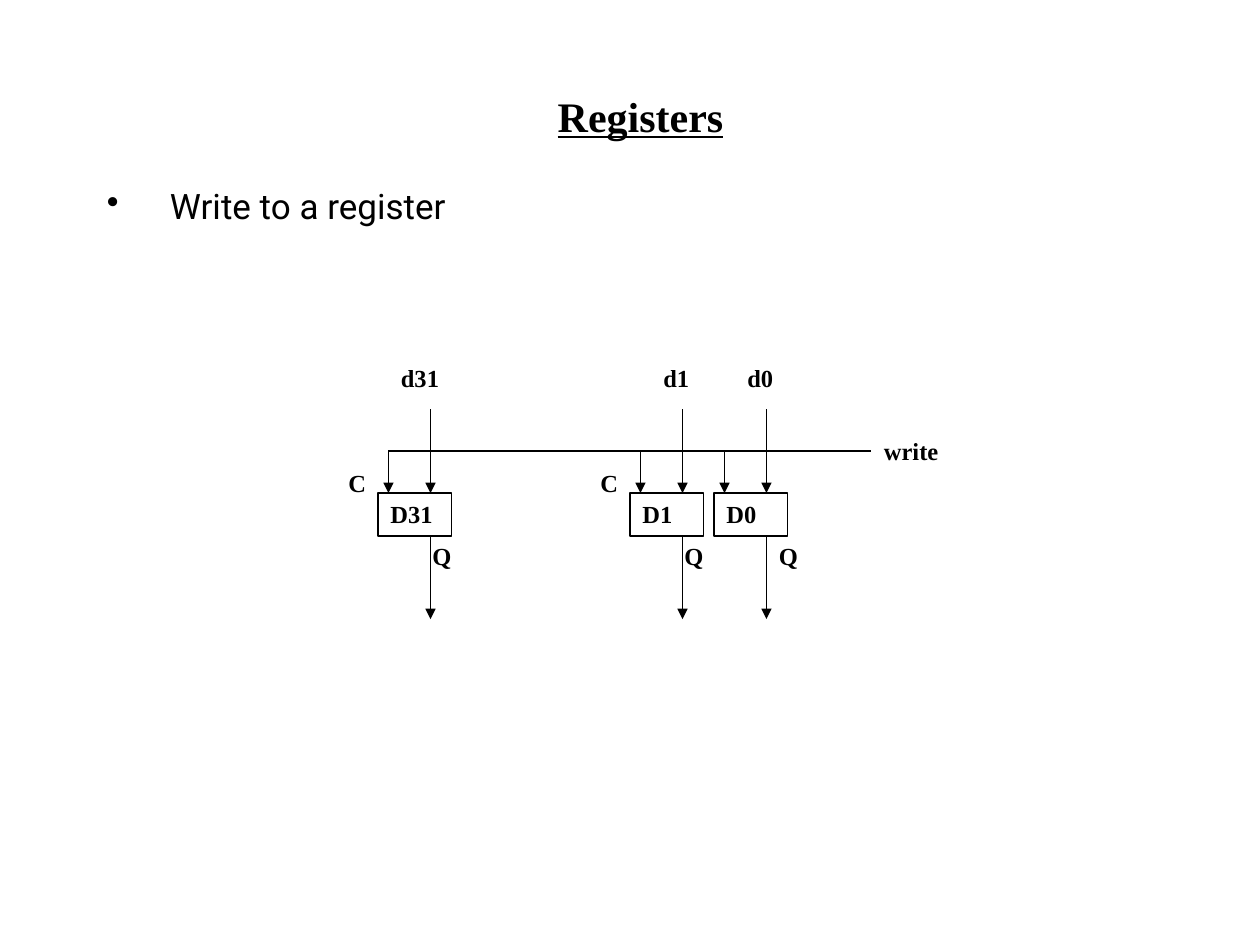
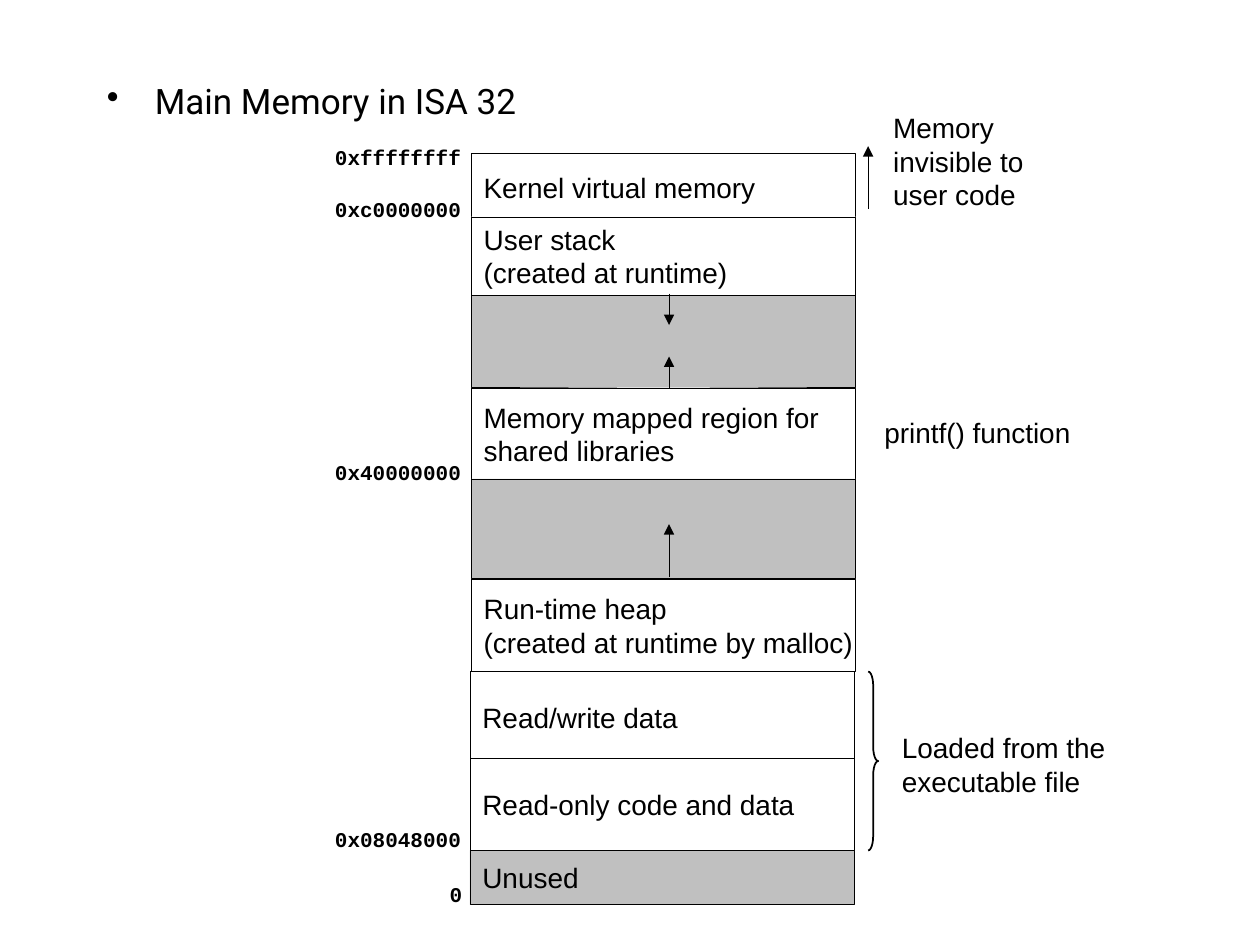
from dataclasses import dataclass

from lxml.etree import SubElement
from pptx import Presentation
from pptx.dml.color import RGBColor as RGB
from pptx.enum.shapes import MSO_CONNECTOR as Conn, MSO_SHAPE as Form
from pptx.enum.text import MSO_ANCHOR as Anchor, PP_ALIGN as Align
from pptx.oxml.ns import qn
from pptx.util import Inches, Pt


@dataclass(frozen=True)
class Theme:
    ink: RGB = RGB(0, 0, 0)
    paper: RGB = RGB(255, 255, 255)
    gray: RGB = RGB(0xC0, 0xC0, 0xC0)
    serif: str = "Times New Roman"
    sans: str = "Arial"
    mono: str = "Courier New"
    lead: str = "Roboto"
    title: int = 24
    head: int = 20
    body: int = 16
    label: int = 14
    code: int = 12
    thin: float = 0.25
    wire: float = 0.75
    bold: float = 1


T = Theme()


@dataclass(frozen=True)
class Grid:
    """A region of a slide, measured in square cells from its corner."""
    slide: object
    left: float
    top: float
    cell: float

    def spot(self, col, row):
        return Inches(self.left + col * self.cell), Inches(self.top + row * self.cell)

    def area(self, col, row, cols, rows):
        return *self.spot(col, row), Inches(cols * self.cell), Inches(rows * self.cell)


# Shared parts
def write(shape, text, font=T.sans, size=T.body, bold=False, under=False,
          align=Align.LEFT, anchor=Anchor.TOP, wrap=True, indent=None):
    frame = shape.text_frame
    frame.word_wrap = wrap
    frame.vertical_anchor = anchor
    for i, line in enumerate(text.split("\n")):
        para = frame.add_paragraph() if i else frame.paragraphs[0]
        para.alignment = align
        if indent:
            props = para._p.get_or_add_pPr()
            props.set("marL", str(Inches(indent)))
            props.set("indent", str(-Inches(indent)))
            SubElement(props, qn("a:buChar")).set("char", "•")
        run = para.add_run()
        run.text = line
        run.font.name, run.font.size = font, Pt(size)
        run.font.bold, run.font.underline = bold, under
        run.font.color.rgb = T.ink


def note(grid, area, text, **style):
    write(grid.slide.shapes.add_textbox(*grid.area(*area)), text, **style)


def block(grid, area, form=Form.RECTANGLE, fill=None, width=T.wire):
    shape = grid.slide.shapes.add_shape(form, *grid.area(*area))
    shape.shadow.inherit = False
    if fill is None:
        shape.fill.background()
    else:
        shape.fill.solid()
        shape.fill.fore_color.rgb = fill
    shape.line.color.rgb = T.ink
    shape.line.width = Pt(width)
    return shape


def wire(grid, start, end, width=T.wire, arrow=True):
    line = grid.slide.shapes.add_connector(
        Conn.STRAIGHT, *grid.spot(*start), *grid.spot(*end))
    line.line.color.rgb = T.ink
    line.line.width = Pt(width)
    if arrow:
        SubElement(line.line._get_or_add_ln(), qn("a:tailEnd")).set("type", "triangle")
    SubElement(line._element.spPr, qn("a:effectLst"))


def bullet(grid, area, text, indent):
    note(grid, area, text, font=T.lead, size=T.head, indent=indent)


# Register circuit: one flip-flop per bit, fed by a common write line
def flop(grid, col, bit, data, out, clock):
    style = dict(font=T.serif, size=T.label, bold=True)
    write(block(grid, (col, 13, 7, 4.1)), f"D{bit}", **style)
    note(grid, (col + data, 0, 7, 4), f"d{bit}", **style)
    note(grid, (col + out, 17, 7, 4), "Q", **style)
    if clock:
        note(grid, (col - 4, 10, 7, 4), "C", **style)
    wire(grid, (col + 5, 5), (col + 5, 13))
    wire(grid, (col + 1, 9), (col + 1, 13))
    wire(grid, (col + 5, 17), (col + 5, 25))


def circuit(grid):
    for col, bit, data, out, clock in [
            (0, 31, 1, 4, True), (24, 1, 2, 4, True), (32, 0, 2, 5, False)]:
        flop(grid, col, bit, data, out, clock)
    wire(grid, (1, 9), (47, 9), arrow=False)
    note(grid, (47, 7, 8, 4), "write", font=T.serif, size=T.label, bold=True)


# Memory map: stacked regions with addresses on the left, remarks on the right
def tower(grid):
    for col, row, rows, fill, text in [
            (0, 0, 5.3, T.paper, "Kernel virtual memory"),
            (0, 8.6, 9.9, T.gray, ""),
            (0, 5, 6.2, T.paper, "User stack\n(created at runtime)"),
            (0, 18.6, 7.3, T.paper, "Memory mapped region for\nshared libraries"),
            (0, 25.8, 7.9, T.gray, ""),
            (0, 33.8, 7.3, T.paper, "Run-time heap\n(created at runtime by malloc)"),
            (-0.1, 41.1, 7.3, T.paper, "Read/write data"),
            (-0.1, 48, 7.3, T.paper, "Read-only code and data"),
            (-0.1, 55.3, 4.3, T.gray, "Unused")]:
        tile = block(grid, (col, row, 30.5, rows), fill=fill, width=T.thin)
        if text:
            write(tile, text, anchor=Anchor.MIDDLE, wrap=False)
    # Directions of growth
    for col, start, end in [(15.7, 11.1, 13.6), (15.7, 18.6, 16.1),
                            (15.7, 33.6, 29.4), (31.5, 4.4, -0.6)]:
        wire(grid, (col, start), (col, end), width=T.thin)


def sides(grid):
    for row, cols, text in [(-1.2, 12.1, "0xffffffff"), (2.9, 12.1, "0xc0000000"),
                            (23.8, 12.1, "0x40000000"), (52.9, 12.1, "0x08048000"),
                            (57.3, 3, "0")]:
        note(grid, (0.3 - cols, row, cols, 3), text,
             font=T.mono, size=T.code, bold=True, wrap=False)
    for area, text in [
            ((32.5, -3.9, 12.5, 9.1), "Memory\ninvisible to\nuser code"),
            ((31.8, 20.3, 17, 3.7), "printf() function"),
            ((33.2, 45.3, 19, 6.4), "Loaded from the\nexecutable file")]:
        note(grid, area, text, wrap=False)
    brace = block(grid, (31.5, 41.1, 0.8, 14.2), Form.RIGHT_BRACE, width=T.bold)
    brace.adjustments[0] = 1.42


# Slides
def first(slide):
    page = Grid(slide, 0, 0, 1 / 12)
    note(page, (12, 8, 98, 7), "Registers", font=T.serif, size=T.title,
         bold=True, under=True, align=Align.CENTER)
    bullet(page, (9, 17, 98, 24), "Write to a register", 0.5)
    circuit(Grid(slide, 3, 2.83, 1 / 12))


def second(slide):
    bullet(Grid(slide, 0, 0, 1 / 12), (9, 7, 46, 9), "Main Memory in ISA 32", 0.38)
    chart = Grid(slide, 3.74, 1.22, 0.1)
    tower(chart)
    sides(chart)


def main():
    deck = Presentation()
    deck.slide_width, deck.slide_height = Inches(10), Inches(7.5)
    for build in (first, second):
        build(deck.slides.add_slide(deck.slide_layouts[6]))
    deck.save("out.pptx")


if __name__ == "__main__":
    main()
